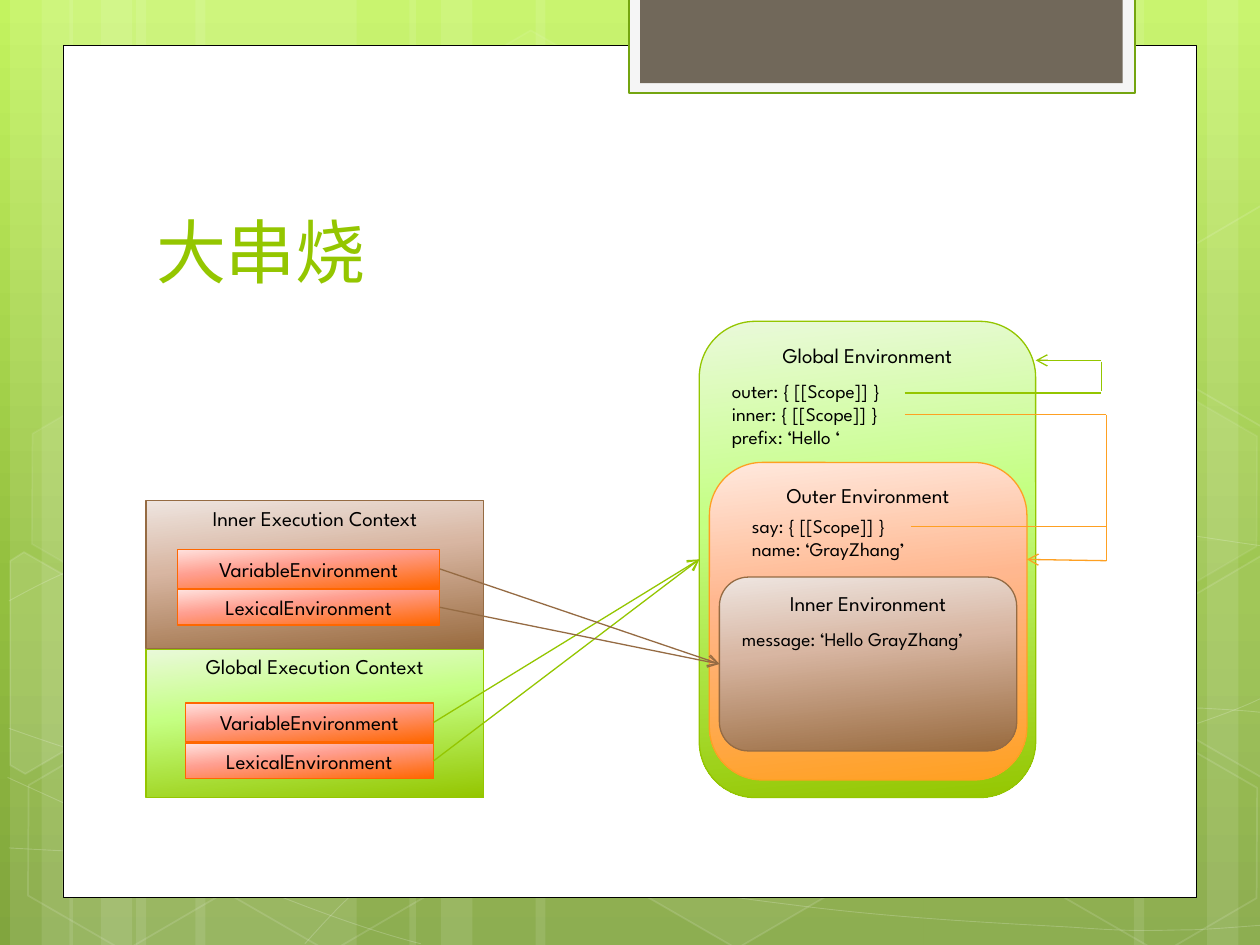
from dataclasses import dataclass
from math import cos, radians, sin

from lxml import etree
from pptx import Presentation
from pptx.dml.color import RGBColor
from pptx.enum.shapes import MSO_CONNECTOR, MSO_SHAPE
from pptx.enum.text import MSO_ANCHOR, MSO_AUTO_SIZE, PP_ALIGN
from pptx.oxml.ns import qn
from pptx.util import Inches, Pt

RECT, ROUND, HEXAGON = MSO_SHAPE.RECTANGLE, MSO_SHAPE.ROUNDED_RECTANGLE, MSO_SHAPE.HEXAGON
STRAIGHT = MSO_CONNECTOR.STRAIGHT
TOP, MIDDLE, BOTTOM = MSO_ANCHOR.TOP, MSO_ANCHOR.MIDDLE, MSO_ANCHOR.BOTTOM
LEFT, CENTER = PP_ALIGN.LEFT, PP_ALIGN.CENTER
FIT, FIXED = MSO_AUTO_SIZE.SHAPE_TO_FIT_TEXT, MSO_AUTO_SIZE.NONE
LEFT_SIDE, RIGHT_SIDE = 1, 3
TILT = 30


@dataclass(frozen=True)
class Theme:
    font: str = "League Spartan"
    title: int = 40
    label: int = 12
    code: int = 11
    white: str = "FFFFFF"
    black: str = "000000"
    green: str = "94C600"
    orange: str = "FEA022"
    brown: str = "956B43"
    red: str = "FF6700"
    tab_fill: str = "F5F5F5"
    tab_line: str = "74A510"
    tab_inner: str = "71685A"
    background: tuple = ((0, "C3F35F"), (62, "93BF3F"), (100, "81A53E"))
    green_fade: tuple = ((0, "EAF9DA"), (40, "C4FF82"), (100, "94C600"))
    orange_fade: tuple = ((0, "FFE9DE"), (40, "FFB78F"), (100, "FFA021"))
    brown_fade: tuple = ((0, "EEE5E0"), (40, "D8B6A2"), (100, "996B3F"))
    red_fade: tuple = ((0, "FFE2DE"), (40, "FF9E8F"), (100, "FF6700"))


T = Theme()

STRIPES = [(1.08, 1.75), (0.08, 0.5), (0.33, 0.83), (1.55, 1.75), (0.55, 0.5), (0.8, 0.83),
           (7.33, 1.75), (9.58, 0.5), (9, 0.83), (4.25, 3.08), (3.25, 0.5), (3.5, 0.83)]

# Each wave is a start point followed by cubic segments: two handles and an end point.
WAVES = [
    [(0.07, 6.73), (0.61, 6.76), (1.15, 6.79), (1.9, 6.78), (2.65, 6.77), (3.58, 6.75),
     (4.58, 6.65), (5.58, 6.55), (7, 6.36), (7.92, 6.17), (8.83, 5.98), (9.77, 5.68), (10.07, 5.51)],
    [(0.07, 4.77), (0.36, 4.61), (0.65, 4.46), (1.21, 4.31), (1.78, 4.16), (2.59, 3.94),
     (3.47, 3.87), (4.36, 3.8), (5.44, 3.79), (6.54, 3.87), (7.64, 3.95), (9.47, 4.26), (10.07, 4.34)],
    [(0.06, 6.17), (1.27, 6.72), (2.47, 7.27), (3.34, 7.49)],
    [(0.07, 5.78), (0.38, 5.89), (0.7, 6), (1.28, 6.16), (1.86, 6.31), (2.73, 6.56),
     (3.57, 6.73), (4.4, 6.9), (5.45, 7.08), (6.28, 7.18), (7.11, 7.29), (8, 7.33), (8.53, 7.36),
     (9.05, 7.4), (9.19, 7.38), (9.45, 7.38), (9.71, 7.37), (9.89, 7.35), (10.07, 7.34)],
    [(2.42, 7.49), (2.6, 7.29), (2.78, 7.09), (3.02, 6.91), (3.26, 6.73), (3.6, 6.53),
     (3.88, 6.39), (4.16, 6.25), (4.33, 6.19), (4.7, 6.09), (5.06, 5.99), (5.73, 5.85),
     (6.08, 5.78), (6.44, 5.71), (6.49, 5.71), (6.8, 5.69), (7.11, 5.66), (7.6, 5.63),
     (7.94, 5.62), (8.29, 5.61), (8.86, 5.62), (8.86, 5.62), (9.08, 5.62), (9.3, 5.62),
     (9.53, 5.62), (9.71, 5.63), (9.88, 5.64), (9.97, 5.65), (10.06, 5.66), (10.03, 5.65), (10.06, 5.66)],
]

# Left, top, fill opacity and line opacity in percent.
HEXAGONS = [(3.34, 0.36, 4, 8), (4.97, 5.89, 6, 12), (0.11, 5.91, 0, 12), (0.14, 3.12, 7, 8),
            (1.74, 5.92, 0, 12), (7.53, 4.53, 10, 12), (8.34, 5.93, 0, 12), (8.34, 3.14, 7, 8)]

# Corners on the slide, centre of rotation and fill opacity.
CUT_HEXAGONS = [
    ([(0.08, 4.45), (0.19, 4.38), (0.96, 4.82), (0.95, 5.7), (0.2, 6.14), (0.08, 6.07)], (0.36, 5.35), 10),
    ([(9.26, 4.85), (10.01, 4.41), (10.09, 4.46), (10.09, 6.13), (10.02, 6.17), (9.26, 5.73)], (9.85, 5.2), 4),
    ([(9.26, 2.07), (10.01, 1.63), (10.1, 1.68), (10.09, 3.35), (10.02, 3.39), (9.26, 2.95)], (9.85, 2.41), 0),
]

# Colour, start, end and whether the line ends in an arrow.
SCOPE_LINES = [
    (T.green, (7.18, 3.12), (8.74, 3.12), False),
    (T.green, (8.74, 2.87), (8.74, 3.1), False),
    (T.green, (8.74, 2.86), (8.22, 2.86), True),
    (T.orange, (7.23, 4.18), (8.78, 4.18), False),
    (T.orange, (8.78, 4.21), (8.78, 4.45), False),
    (T.orange, (8.78, 4.45), (8.15, 4.44), True),
    (T.orange, (7.18, 3.29), (8.78, 3.29), False),
    (T.orange, (8.78, 3.29), (8.78, 4.29), False),
]


def set_gradient(fill, element, stops, angle):
    """Fill with colour stops; the angle runs clockwise from left to right."""
    fill.gradient()
    fill.gradient_angle = 360 - angle
    gs_lst = next(element.iter(qn("a:gsLst")))
    for gs in list(gs_lst):
        gs_lst.remove(gs)
    for pos, color in stops:
        gs = etree.SubElement(gs_lst, qn("a:gs"), pos=str(pos * 1000))
        etree.SubElement(gs, qn("a:srgbClr"), val=color)


def set_opacity(parent, percent):
    color = parent.find(qn("a:solidFill")).find(qn("a:srgbClr"))
    etree.SubElement(color, qn("a:alpha"), val=str(percent * 1000))


def paint(sp, fill=None, line=None, width=0.75, fill_opacity=100, line_opacity=100):
    """Style a shape; fill is a colour, a tuple of gradient stops or None."""
    sp.shadow.inherit = False
    sp_pr = sp._element.spPr
    if not fill or not fill_opacity:
        sp.fill.background()
    elif isinstance(fill, tuple):
        set_gradient(sp.fill, sp_pr, fill, 84)
    else:
        sp.fill.solid()
        sp.fill.fore_color.rgb = RGBColor.from_string(fill)
        if fill_opacity < 100:
            set_opacity(sp_pr, fill_opacity)
    if not line:
        sp.line.fill.background()
        return
    sp.line.color.rgb = RGBColor.from_string(line)
    sp.line.width = Pt(width)
    if line_opacity < 100:
        set_opacity(sp_pr.find(qn("a:ln")), line_opacity)


def add_box(s, kind, box, **style):
    sp = s.shapes.add_shape(kind, *map(Inches, box))
    paint(sp, **style)
    return sp


def add_outline(s, points, close, **style):
    pts = [(Inches(x), Inches(y)) for x, y in points]
    builder = s.shapes.build_freeform(*pts[0])
    builder.add_line_segments(pts[1:], close=close)
    sp = builder.convert_to_shape()
    paint(sp, **style)
    return sp


def bend(sp):
    """Turn each run of three straight segments into one cubic curve."""
    segments = list(sp._element.iter(qn("a:lnTo")))
    for i in range(0, len(segments), 3):
        curve = etree.Element(qn("a:cubicBezTo"))
        segments[i].addprevious(curve)
        for segment in segments[i:i + 3]:
            curve.append(segment[0])
            segment.getparent().remove(segment)


def turn_back(point, center):
    """Position of a slide point before its shape is tilted about center."""
    c, n = cos(radians(TILT)), sin(radians(TILT))
    dx, dy = point[0] - center[0], point[1] - center[1]
    return center[0] + dx * c + dy * n, center[1] - dx * n + dy * c


def set_text(sp, text, size=T.label, color=T.black, align=LEFT, anchor=TOP, inset=None, wrap=True):
    tf = sp.text_frame
    tf.word_wrap = wrap
    tf.vertical_anchor = anchor
    if inset is not None:
        tf.margin_left = tf.margin_right = tf.margin_top = tf.margin_bottom = Inches(inset)
    for i, line in enumerate(text.split("\n")):
        p = tf.paragraphs[0] if i == 0 else tf.add_paragraph()
        p.alignment = align
        r = p.add_run()
        r.text = line
        r.font.name = T.font
        r.font.size = Pt(size)
        r.font.color.rgb = RGBColor.from_string(color)


def add_text(s, box, text, auto_size=FIT, **style):
    sp = s.shapes.add_textbox(*map(Inches, box))
    set_text(sp, text, **style)
    sp.text_frame.auto_size = auto_size


def add_panel(s, kind, box, text, fill, line, wrap=True):
    sp = add_box(s, kind, box, fill=fill, line=line)
    set_text(sp, text, align=CENTER, inset=0.04, wrap=wrap)
    return sp


def add_line(s, start, end, color, arrow=False):
    cn = s.shapes.add_connector(STRAIGHT, *map(Inches, start + end))
    cn.line.color.rgb = RGBColor.from_string(color)
    cn.line.width = Pt(0.75)
    if arrow:
        etree.SubElement(cn._element.spPr.find(qn("a:ln")), qn("a:tailEnd"), type="arrow")
    etree.SubElement(cn._element.spPr, qn("a:effectLst"))
    return cn


def add_backdrop(s):
    set_gradient(s.background.fill, s._element, T.background, 90)
    for left, width in STRIPES:
        add_box(s, RECT, (left, 0, width, 7.5), fill=T.white, fill_opacity=10)
    for nodes in WAVES:
        bend(add_outline(s, nodes, False, line=T.white, width=0.5, line_opacity=20))
    for left, top, fill_opacity, line_opacity in HEXAGONS:
        sp = add_box(s, HEXAGON, (left, top, 1.75, 1.52), fill=T.white, line=T.white, width=1,
                     fill_opacity=fill_opacity, line_opacity=line_opacity)
        sp.adjustments[0], sp.adjustments[1] = 0.285, 1.155
        sp.rotation = TILT
    for points, center, opacity in CUT_HEXAGONS:
        sp = add_outline(s, [turn_back(pt, center) for pt in points], True, fill=T.white,
                         line=T.white, width=1, fill_opacity=opacity, line_opacity=12)
        sp.rotation = TILT
    add_box(s, RECT, (0.5, 0.36, 9, 6.76), fill=T.white, line=T.black, width=0.5)
    add_box(s, RECT, (4.99, -0.02, 4.02, 0.76), fill=T.tab_fill, line=T.tab_line, width=1.25)
    add_box(s, RECT, (5.08, -0.02, 3.83, 0.68), fill=T.tab_inner)


def add_context(s, top, title, fill, color, rows_box, target):
    """Add an execution context whose two rows point at an environment."""
    add_panel(s, RECT, (1.16, top, 2.68, 1.18), title, fill, color)
    left, rows_top, width = rows_box
    for name, offset, height in (("VariableEnvironment", 0, 0.31), ("LexicalEnvironment", 0.32, 0.28)):
        row = add_box(s, RECT, (left, rows_top + offset, width, height), fill=T.red_fade, line=T.red)
        set_text(row, name, align=CENTER, anchor=MIDDLE)
        cn = add_line(s, (0, 0), (1, 1), color, arrow=True)
        cn.begin_connect(row, RIGHT_SIDE)
        cn.end_connect(target, LEFT_SIDE)


def main():
    prs = Presentation()
    prs.slide_width, prs.slide_height = Inches(10), Inches(7.5)
    s = prs.slides.add_slide(prs.slide_layouts[6])
    add_backdrop(s)
    add_text(s, (1.14, 1.12, 7.68, 1.25), "大串烧", auto_size=FIXED,
             size=T.title, color=T.green, anchor=BOTTOM)
    global_env = add_panel(s, ROUND, (5.55, 2.55, 2.67, 3.78), "Global Environment", T.green_fade, T.green)
    add_text(s, (5.71, 2.96, 2.28, 0.66),
             "outer: { [[Scope]] }\ninner: { [[Scope]] }\nprefix: ‘Hello ‘", size=T.code)
    add_panel(s, ROUND, (5.63, 3.67, 2.52, 2.52), "Outer Environment", T.orange_fade, T.orange)
    add_text(s, (5.87, 4.03, 2.13, 0.47), "say: { [[Scope]] }\nname: ‘GrayZhang’", size=T.code)
    for color, start, end, arrow in SCOPE_LINES:
        add_line(s, start, end, color, arrow)
    inner_env = add_panel(s, ROUND, (5.71, 4.58, 2.36, 1.38), "Inner Environment",
                          T.brown_fade, T.brown, wrap=False)
    add_text(s, (5.79, 4.93, 2.6, 0.29), "message: ‘Hello GrayZhang’", size=T.code)
    add_context(s, 5.15, "Global Execution Context", T.green_fade, T.green, (1.47, 5.58, 1.97), global_env)
    add_context(s, 3.97, "Inner Execution Context", T.brown_fade, T.brown, (1.41, 4.36, 2.08), inner_env)
    prs.save("out.pptx")


if __name__ == "__main__":
    main()
